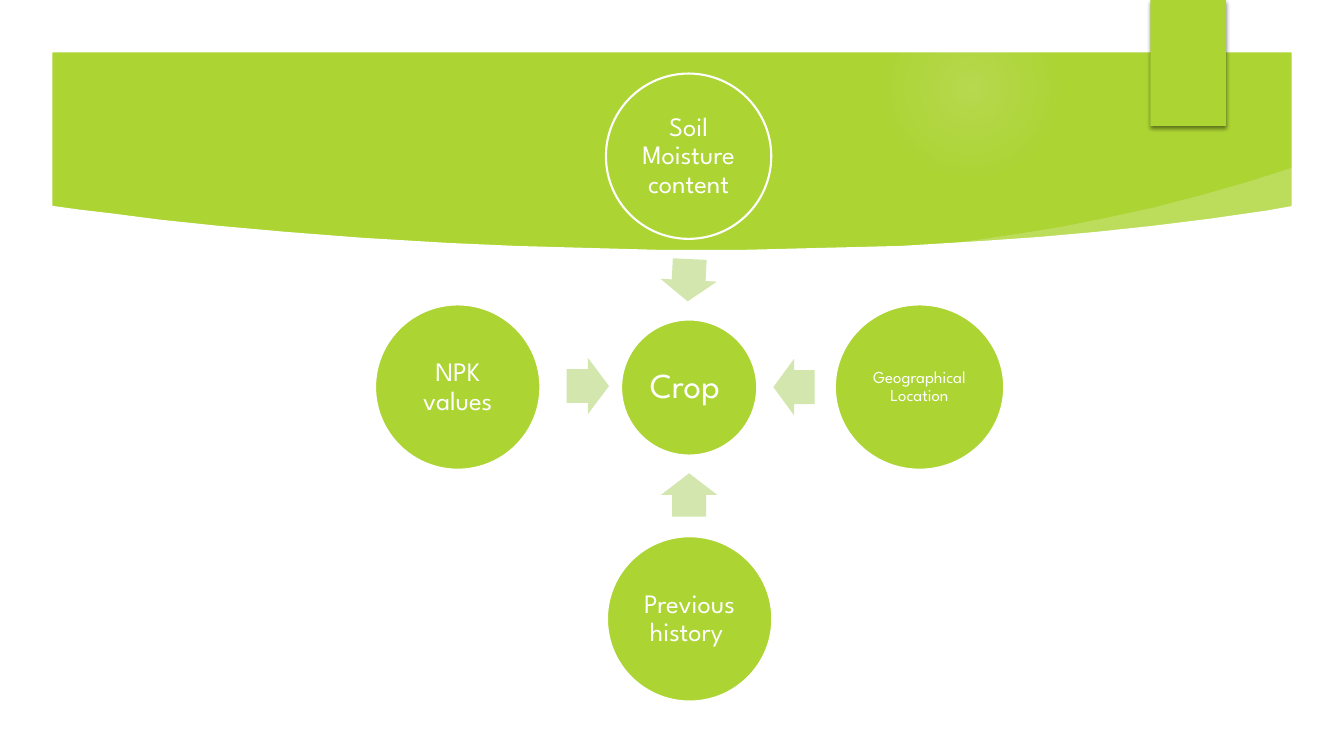
from dataclasses import dataclass

from lxml import etree
from pptx import Presentation
from pptx.dml.color import RGBColor
from pptx.enum.shapes import MSO_SHAPE
from pptx.enum.text import MSO_ANCHOR, PP_ALIGN
from pptx.oxml import parse_xml
from pptx.oxml.ns import nsdecls, qn
from pptx.shapes.autoshape import Shape
from pptx.slide import Slide
from pptx.util import Emu, Pt

ELLIPSE, RECTANGLE = MSO_SHAPE.OVAL, MSO_SHAPE.RECTANGLE
FRAME, ARROW = MSO_SHAPE.FRAME, MSO_SHAPE.RIGHT_ARROW
MIDDLE, CENTER = MSO_ANCHOR.MIDDLE, PP_ALIGN.CENTER

PX = 9144  # 100 px to the inch
PAGE_WIDTH, PAGE_HEIGHT = 1333, 750
BORDER = 52
FONT = "League Spartan"

GREEN = RGBColor(0xAC, 0xD4, 0x33)
PALE_GREEN = RGBColor(0xD2, 0xE6, 0xAE)
WHITE = RGBColor(0xFF, 0xFF, 0xFF)

Point = tuple[int, int]

# Lower edge of the green banner, left to right
BANNER_EDGE: list[Point] = [
    (50, 204), (79, 208), (113, 212), (159, 218), (216, 224), (283, 230),
    (360, 236), (444, 241), (511, 244), (583, 246), (657, 248), (734, 248),
    (813, 246), (894, 244), (976, 239), (1032, 235), (1088, 230),
    (1144, 224), (1200, 217), (1256, 209), (1284, 204),
]
# Pale wedge at the right end of the banner
WEDGE: list[Point] = [
    (930, 243), (969, 238), (1010, 232), (1053, 225), (1098, 216),
    (1144, 206), (1190, 194), (1236, 181), (1283, 166), (1289, 214),
    (1102, 238), (934, 250),
]


@dataclass(frozen=True)
class Box:
    left: int
    top: int
    width: int
    height: int


@dataclass(frozen=True)
class Circle:
    text: str
    box: Box
    size: int
    inset: int = 3


@dataclass(frozen=True)
class Arrow:
    box: Box
    rotation: float


CIRCLES = [
    Circle("Crop ", Box(616, 317, 135, 135), 25),
    Circle("Soil Moisture content", Box(601, 73, 164, 164), 19),
    Circle("Geographical Location", Box(828, 302, 168, 164), 12, 2),
    Circle("Previous history ", Box(602, 532, 164, 164), 19),
    Circle("NPK values", Box(372, 302, 164, 164), 19),
]
ARROWS = [
    Arrow(Box(662, 250, 42, 56), 92.8),
    Arrow(Box(767, 356, 41, 56), 180),
    Arrow(Box(662, 463, 43, 56), 270),
    Arrow(Box(562, 355, 42, 56), 0),
]


def px(length: int) -> Emu:
    return Emu(length * PX)


def paint(shape: Shape, color: RGBColor) -> None:
    """Give a shape a flat fill without outline or shadow."""
    shape.shadow.inherit = False
    shape.fill.solid()
    shape.fill.fore_color.rgb = color
    shape.line.fill.background()


def add_preset(page: Slide, preset: MSO_SHAPE, box: Box, color: RGBColor) -> Shape:
    shape = page.shapes.add_shape(
        preset, px(box.left), px(box.top), px(box.width), px(box.height))
    paint(shape, color)
    return shape


def add_outline(page: Slide, points: list[Point], color: RGBColor) -> Shape:
    builder = page.shapes.build_freeform(*points[0], scale=PX)
    builder.add_line_segments(points[1:], close=True)
    shape = builder.convert_to_shape()
    paint(shape, color)
    return shape


def add_glow(page: Slide, box: Box, stops: list[tuple[int, int]]) -> None:
    """Draw a round glow; each stop is a position and an opacity in percent."""
    glow = add_preset(page, ELLIPSE, box, WHITE)
    stop_xml = "".join(
        f'<a:gs pos="{position * 1000}"><a:srgbClr val="F7F7F7">'
        f'<a:alpha val="{opacity * 1000}"/></a:srgbClr></a:gs>'
        for position, opacity in stops)
    gradient = parse_xml(
        f'<a:gradFill {nsdecls("a")}><a:gsLst>{stop_xml}</a:gsLst>'
        '<a:path path="circle"><a:fillToRect l="50000" t="50000" r="50000" '
        'b="50000"/></a:path></a:gradFill>')
    properties = glow.element.spPr
    properties.replace(properties.find(qn("a:solidFill")), gradient)


def add_circle(page: Slide, circle: Circle) -> None:
    shape = add_preset(page, ELLIPSE, circle.box, GREEN)
    shape.line.color.rgb = WHITE
    shape.line.width = Pt(1.5)
    frame = shape.text_frame
    frame.word_wrap = True
    frame.vertical_anchor = MIDDLE
    frame.margin_left = frame.margin_right = px(circle.inset)
    frame.margin_top = frame.margin_bottom = px(circle.inset)
    para = frame.paragraphs[0]
    para.text = circle.text
    para.alignment = CENTER
    para.line_spacing = 0.9
    para.font.name = FONT
    para.font.size = Pt(circle.size)
    para.font.color.rgb = WHITE


def add_arrow(page: Slide, arrow: Arrow) -> None:
    shape = add_preset(page, ARROW, arrow.box, PALE_GREEN)
    shape.adjustments[0] = 0.6
    shape.adjustments[1] = 0.5
    shape.rotation = arrow.rotation


def add_banner(page: Slide) -> None:
    """Leave a curved band of the green background in view."""
    add_glow(page, Box(875, 0, 175, 175), [(0, 14), (36, 7), (73, 0), (100, 0)])
    wedge = add_outline(page, WEDGE, WHITE)
    wedge_color = wedge.element.spPr.find(qn("a:solidFill"))[0]
    etree.SubElement(wedge_color, qn("a:alpha"), val="20000")
    add_outline(page, BANNER_EDGE + [(1284, 700), (50, 700)], WHITE)
    border = add_preset(page, FRAME, Box(0, 0, PAGE_WIDTH, PAGE_HEIGHT), WHITE)
    border.adjustments[0] = BORDER / PAGE_HEIGHT


def add_tab(page: Slide) -> None:
    tab = add_preset(page, RECTANGLE, Box(1141, 0, 75, 125), GREEN)
    tab.element.spPr.find(qn("a:effectLst")).append(parse_xml(
        f'<a:outerShdw {nsdecls("a")} blurRad="{Pt(3)}" dist="{Pt(2)}" '
        'dir="5400000" rotWithShape="0"><a:srgbClr val="000000">'
        '<a:alpha val="45000"/></a:srgbClr></a:outerShdw>'))


def main() -> None:
    deck = Presentation()
    deck.slide_width, deck.slide_height = px(PAGE_WIDTH), px(PAGE_HEIGHT)
    page = deck.slides.add_slide(deck.slide_layouts[6])
    page.background.fill.solid()
    page.background.fill.fore_color.rgb = GREEN

    # Backdrop
    add_banner(page)
    add_tab(page)

    # Crop and the factors that lead to it
    for arrow in ARROWS:
        add_arrow(page, arrow)
    for circle in CIRCLES:
        add_circle(page, circle)

    deck.save("out.pptx")


if __name__ == "__main__":
    main()
